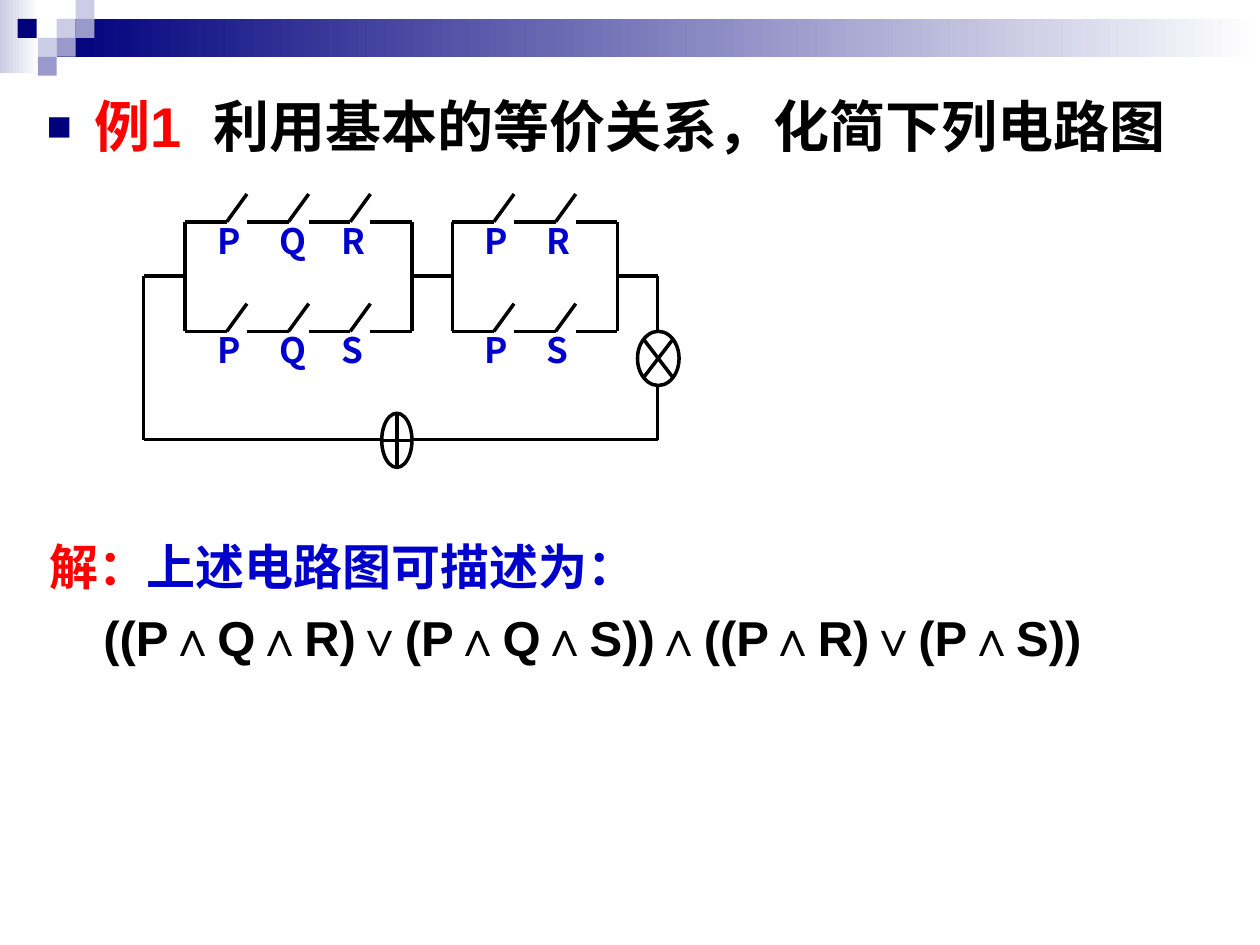
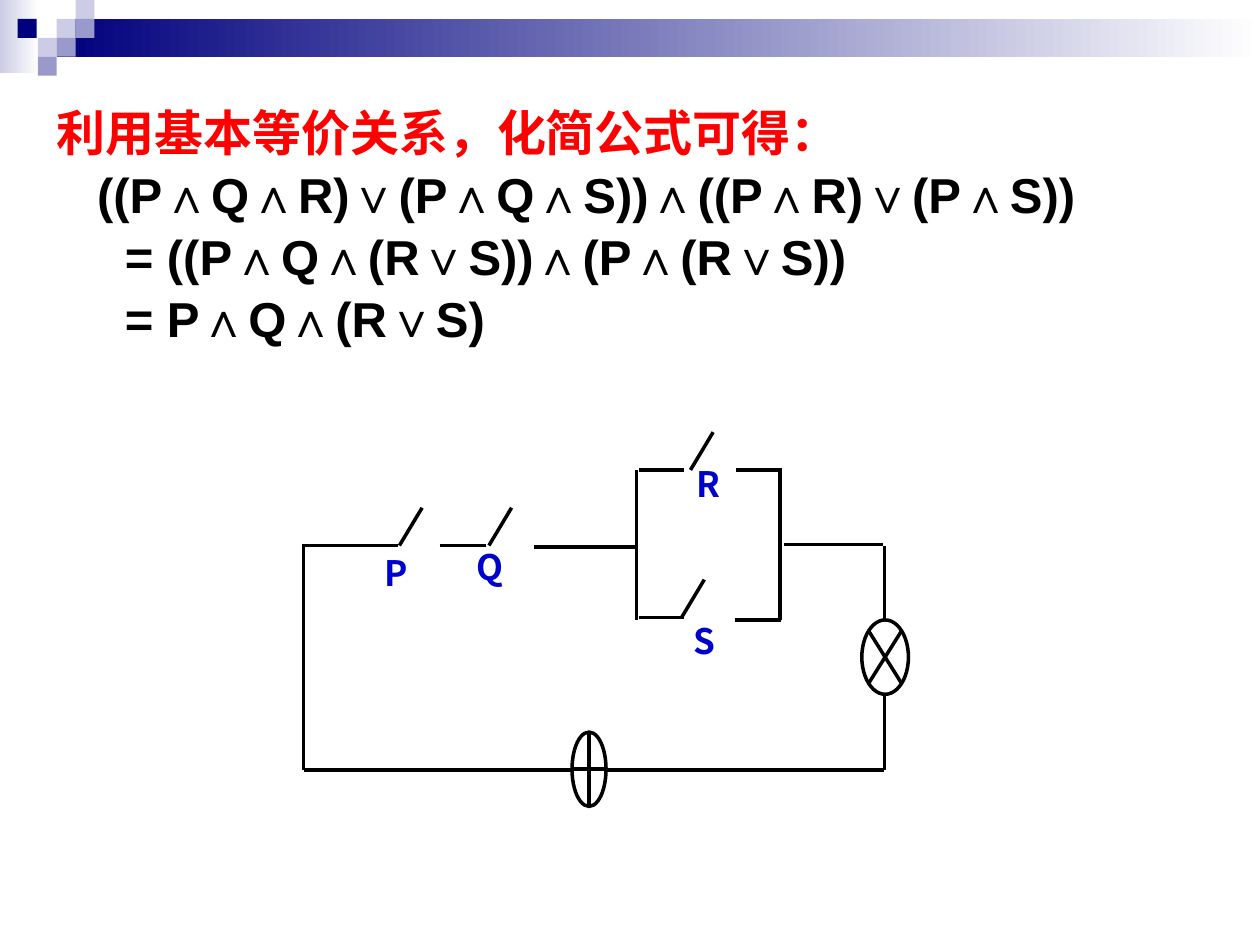
from dataclasses import dataclass

from lxml import etree
from pptx import Presentation
from pptx.dml.color import RGBColor
from pptx.enum.shapes import MSO_CONNECTOR as Wire, MSO_SHAPE as Shape
from pptx.enum.text import MSO_ANCHOR as Anchor, MSO_AUTO_SIZE as AutoSize, PP_ALIGN as Align
from pptx.oxml.ns import qn
from pptx.util import Inches, Pt


@dataclass(frozen=True)
class Theme:
    navy: str = "00007D"
    lilac: str = "9999CC"
    pale: str = "CCCCE6"
    white: str = "FFFFFF"
    ink: str = "000000"
    red: str = "FF0000"
    blue: str = "0000CC"
    latin: str = "Arial"
    chinese: str = "Noto Sans CJK SC"
    heading: int = 32
    body: int = 28
    label: int = 20
    wire: int = 2


THEME = Theme()

BAND_GRADIENTS = [
    ((0, 0, 0.31, 0.58), THEME.pale),
    ((0.45, 0.15, 9.55, 0.3), THEME.navy),
]
BAND_SIDE = 0.15
BAND_SQUARES = [
    (0.45, 0.15, THEME.pale), (0.6, 0, THEME.pale), (0.6, 0.15, THEME.lilac),
    (0.3, 0.3, THEME.pale), (0.14, 0.15, THEME.navy), (0.45, 0.3, THEME.lilac),
    (0.3, 0.45, THEME.lilac),
]

FORMULA = "((P∧Q∧R)∨(P∧Q∧S))∧((P∧R)∨(P∧S))"
EXAMPLE = [
    (0.38, [("例1", THEME.red), (" ", THEME.red, 9), ("利用基本的等价关系，化简下列电路图", THEME.ink)]),
]
DESCRIPTION = [
    (0, [("解：", THEME.red), ("上述电路图可描述为：", THEME.blue)]),
    (0.43, [(FORMULA, THEME.ink)]),
]
SIMPLIFICATION = [
    (0, [("利用基本等价关系，化简公式可得：", THEME.red)]),
    (0.32, [(FORMULA, THEME.ink)]),
    (0.54, [("= ((P∧Q∧(R∨S))∧(P∧(R∨S))", THEME.ink)]),
    (0.54, [("= P∧Q∧(R∨S)", THEME.ink)]),
]

BLOCKS = [(1.47, ("PQR", "PQS")), (3.59, ("PR", "PS"))]
ROWS = (1.76, 2.63)
LEAD, STEP, RISE = 0.33, 0.49, 0.22
FULL_LABEL = (0.33, 0.65)
FULL_WIRES = [
    (1.14, 2.19, 1.47, 2.19), (3.26, 2.19, 3.59, 2.19), (4.89, 2.19, 5.22, 2.19),
    (1.14, 2.19, 1.14, 3.49), (1.14, 3.49, 3.03, 3.49), (3.26, 3.49, 5.22, 3.49),
    (5.22, 2.19, 5.22, 2.63), (5.22, 3.06, 5.22, 3.49),
]
FULL_DEVICES = [
    (Shape.FLOWCHART_SUMMING_JUNCTION, (5.06, 2.63, 0.33, 0.43)),
    (Shape.FLOWCHART_OR, (3.03, 3.28, 0.24, 0.43)),
]

SHORT_LABEL = (0.37, 0.8)
SHORT_LABELS = [("S", 5.41, 4.87), ("R", 5.43, 3.62), ("Q", 3.68, 4.28), ("P", 2.95, 4.33)]
SHORT_BLADE = (0.18, 0.3)
SHORT_SWITCHES = [(3.17, 4.33), (3.88, 4.33), (5.48, 3.73), (5.41, 4.9)]
SHORT_WIRES = [
    (2.4, 4.33, 3.16, 4.33), (3.49, 4.33, 3.86, 4.33), (4.24, 4.34, 5.04, 4.34),
    (5.07, 3.73, 5.43, 3.73), (5.84, 3.73, 6.21, 3.73),
    (5.07, 4.9, 5.43, 4.9), (5.83, 4.92, 6.2, 4.92),
    (5.05, 3.73, 5.05, 4.92), (6.19, 3.73, 6.19, 4.92), (6.22, 4.32, 7.01, 4.32),
    (7.02, 4.33, 7.02, 4.92), (7.02, 5.52, 7.02, 6.11),
    (2.41, 4.33, 2.41, 6.11), (2.41, 6.11, 4.54, 6.11), (4.81, 6.11, 7.02, 6.11),
]
SHORT_DEVICES = [
    (Shape.FLOWCHART_SUMMING_JUNCTION, (6.84, 4.92, 0.37, 0.59)),
    (Shape.FLOWCHART_OR, (4.54, 5.81, 0.27, 0.59)),
]


def color(value):
    return RGBColor.from_string(value)


def assign(target, values):
    for name, value in values.items():
        setattr(target, name, value)


def place(box, area):
    assign(box, dict(zip(("left", "top", "width", "height"), map(Inches, area))))


def set_frame(frame, side, edge):
    assign(frame, {
        "word_wrap": True, "auto_size": AutoSize.NONE, "vertical_anchor": Anchor.TOP,
        "margin_left": Inches(side), "margin_right": Inches(side),
        "margin_top": Inches(edge), "margin_bottom": Inches(edge),
    })


def add_child(parent, tag, **values):
    return etree.SubElement(parent, qn(tag), values)


def add_span(para, text, ink, size, latin=THEME.latin, spacing=0):
    span = para.add_run()
    span.text = text
    assign(span.font, {"name": latin, "size": Pt(size), "bold": True})
    span.font.color.rgb = color(ink)
    props = span.font._element
    add_child(props, "a:ea", typeface=THEME.chinese)
    if spacing:
        props.set("spc", str(spacing * 100))


def add_bullet(props):
    tint = add_child(props, "a:buClr")
    add_child(tint, "a:srgbClr", val=THEME.navy)
    add_child(props, "a:buSzPct", val="75000")
    add_child(props, "a:buFont", typeface=THEME.latin)
    add_child(props, "a:buChar", char="■")


def write_lines(frame, lines, size, gap, bullet=False):
    for index, (indent, spans) in enumerate(lines):
        para = frame.paragraphs[0] if index == 0 else frame.add_paragraph()
        assign(para, {"alignment": Align.LEFT, "line_spacing": 1.0,
                      "space_before": Pt(gap if index else 0)})
        props = para._p.get_or_add_pPr()
        props.set("marL", str(Inches(indent)))
        props.set("indent", str(Inches(-indent if bullet else 0)))
        if bullet:
            add_bullet(props)
        else:
            add_child(props, "a:buNone")
        for text, ink, *spacing in spans:
            add_span(para, text, ink, size, spacing=sum(spacing))


def add_block(group, kind, area, fill, line=None):
    block = group.shapes.add_shape(kind, *map(Inches, area))
    block.shadow.inherit = False
    block.fill.solid()
    block.fill.fore_color.rgb = color(fill)
    if line:
        block.line.color.rgb = color(line)
        block.line.width = Pt(THEME.wire)
    else:
        block.line.fill.background()
    return block


def add_band(deck, page):
    band = page.shapes.add_group_shape()
    for area, start in BAND_GRADIENTS:
        block = add_block(band, Shape.RECTANGLE, area, start)
        block.fill.gradient()
        block.fill.gradient_angle = 0
        for stop, position, ink in zip(block.fill.gradient_stops, (0, 1), (start, THEME.white)):
            stop.position = position
            stop.color.rgb = color(ink)
    for left, top, fill in BAND_SQUARES:
        add_block(band, Shape.RECTANGLE, (left, top, BAND_SIDE, BAND_SIDE), fill)
    deck.slide_master.shapes._spTree.insert(2, band._element)


def add_page(deck):
    page = deck.slides.add_slide(deck.slide_layouts[1])
    title = page.shapes.title._element
    title.getparent().remove(title)
    return page


def fill_body(page, area, lines, size, gap, bullet=False):
    body = page.placeholders[1]
    place(body, area)
    set_frame(body.text_frame, 0.1, 0.05)
    write_lines(body.text_frame, lines, size, gap, bullet)


def add_label(group, letter, left, top, size):
    label = add_block(group, Shape.RECTANGLE, (left, top, *size), THEME.white)
    set_frame(label.text_frame, 0.1, 0.05)
    para = label.text_frame.paragraphs[0]
    para.alignment = Align.JUSTIFY
    add_span(para, letter, THEME.blue, THEME.label, THEME.chinese)


def add_wire(group, ends):
    wire = group.shapes.add_connector(Wire.STRAIGHT, *map(Inches, ends))
    wire.line.color.rgb = color(THEME.ink)
    wire.line.width = Pt(THEME.wire)
    add_child(wire._element.spPr, "a:effectLst")


def draw_circuit(page, labels, label_size, wires, devices):
    circuit = page.shapes.add_group_shape()
    for letter, left, top in labels:
        add_label(circuit, letter, left, top, label_size)
    for ends in wires:
        add_wire(circuit, ends)
    for kind, area in devices:
        add_block(circuit, kind, area, THEME.white, THEME.ink)


def parallel_blocks():
    labels, wires = [], []
    for start, branches in BLOCKS:
        end = start + len(branches[0]) * STEP + LEAD
        for row, letters in zip(ROWS, branches):
            for index, letter in enumerate(letters):
                left = start + index * STEP
                hinge = left + LEAD
                wires.append((left, row, hinge, row))
                wires.append((hinge, row, left + STEP, row - RISE))
                labels.append((letter, hinge - 0.17, row - 0.07))
            wires.append((end - LEAD, row, end, row))
        wires += [(side, ROWS[0], side, ROWS[1]) for side in (start, end)]
    return labels, wires


def build_example(deck):
    page = add_page(deck)
    add_band(deck, page)
    fill_body(page, (0.27, 0.68, 9.4, 0.86), EXAMPLE, THEME.heading, 8, bullet=True)
    labels, wires = parallel_blocks()
    draw_circuit(page, labels, FULL_LABEL, wires + FULL_WIRES, FULL_DEVICES)
    answer = page.shapes.add_textbox(*map(Inches, (0.35, 4.22, 9.13, 1.11)))
    set_frame(answer.text_frame, 0.04, 0.04)
    write_lines(answer.text_frame, DESCRIPTION, THEME.body, 7)


def build_simplification(deck):
    page = add_page(deck)
    fill_body(page, (0.35, 0.76, 9.06, 3.58), SIMPLIFICATION, THEME.body, 1.8)
    width, rise = SHORT_BLADE
    blades = [(left, top, left + width, top - rise) for left, top in SHORT_SWITCHES]
    draw_circuit(page, SHORT_LABELS, SHORT_LABEL, SHORT_WIRES + blades, SHORT_DEVICES)


def main():
    deck = Presentation()
    assign(deck, {"slide_width": Inches(10), "slide_height": Inches(7.5)})
    build_example(deck)
    build_simplification(deck)
    deck.save("out.pptx")


if __name__ == "__main__":
    main()
